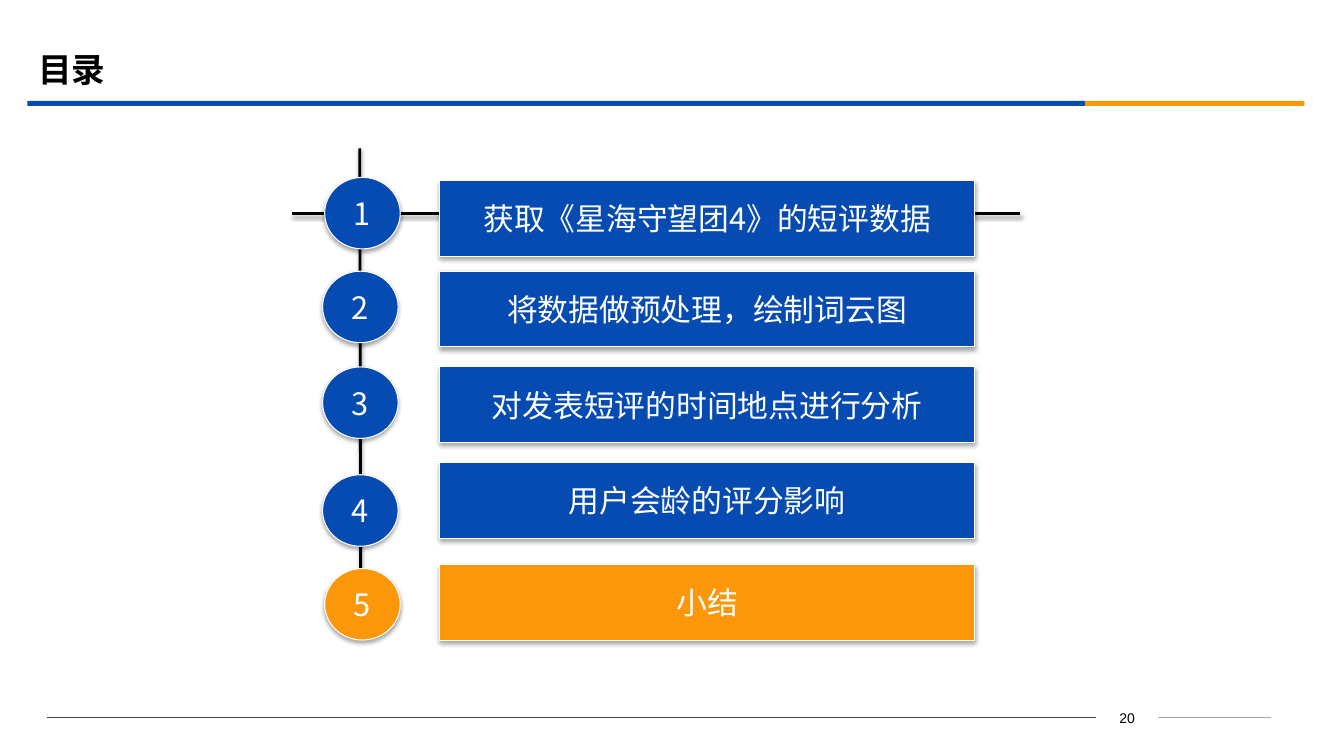
from lxml.etree import SubElement
from pptx import Presentation
from pptx.dml.color import RGBColor
from pptx.enum.shapes import MSO_CONNECTOR as CONNECTOR, MSO_SHAPE as SHAPE
from pptx.enum.text import MSO_ANCHOR as ANCHOR, PP_ALIGN as ALIGN
from pptx.oxml.ns import qn
from pptx.util import Pt

COLORS = {"blue": "064BB2", "orange": "FB9708", "white": "FFFFFF", "black": "000000",
          "rule": "404040", "light_rule": "A6A6A6"}
CJK = "Noto Sans CJK SC"
LABEL = {"size": Pt(22), "name": CJK}
ENTRIES = [
    ("获取《星海守望团4》的短评数据", "blue", 233.5, 126.7, 128.9),
    ("将数据做预处理，绘制词云图", "blue", 232, 193.7, 193.7),
    ("对发表短评的时间地点进行分析", "blue", 232, 262.1, 262.1),
    ("用户会龄的评分影响", "blue", 232, 339.1, 330.6),
    ("小结", "orange", 233.5, 406.1, 403.2),
]


def color(name):
    """Return the named colour."""
    return RGBColor.from_string(COLORS[name])


def add_shadow(effects, distance, opacity):
    """Put a soft downward shadow into an effect list."""
    shadow = SubElement(effects, qn("a:outerShdw"), blurRad=str(Pt(3.1)),
                        dist=str(Pt(distance)), dir="5400000", rotWithShape="0")
    black = SubElement(shadow, qn("a:srgbClr"), val=COLORS["black"])
    SubElement(black, qn("a:alpha"), val=str(opacity * 1000))


def write(shape, text, font_color, font, align=ALIGN.CENTER, wrap=False):
    """Write one middle-anchored paragraph in a shape."""
    frame = shape.text_frame
    for key, value in {"word_wrap": wrap, "vertical_anchor": ANCHOR.MIDDLE}.items():
        setattr(frame, key, value)
    paragraph = frame.paragraphs[0]
    paragraph.alignment = align
    run = paragraph.add_run()
    run.text = text
    for key, value in font.items():
        setattr(run.font, key, value)
    run.font.color.rgb = color(font_color)
    SubElement(run.font._element, qn("a:ea"), typeface=font["name"])


def add_block(slide, kind, box, fill):
    """Add a filled shape without outline or shadow."""
    shape = slide.shapes.add_shape(kind, *map(Pt, box))
    shape.fill.solid()
    shape.fill.fore_color.rgb = color(fill)
    shape.line.fill.background()
    shape.shadow.inherit = False
    return shape


def add_label(slide, kind, box, fill, text):
    """Add a white-edged, shadowed shape with a white label."""
    shape = add_block(slide, kind, box, fill)
    shape.line.color.rgb = color("white")
    shape.line.width = Pt(0.75)
    add_shadow(shape._element.spPr.find(qn("a:effectLst")), 1.8, 35)
    write(shape, text, "white", LABEL)


def add_line(slide, ends, line_color, width, shadowed=False):
    """Add a straight line, with a shadow if asked."""
    line = slide.shapes.add_connector(CONNECTOR.STRAIGHT, *map(Pt, ends))
    line.line.color.rgb = color(line_color)
    line.line.width = Pt(width)
    effects = SubElement(line._element.spPr, qn("a:effectLst"))
    if shadowed:
        add_shadow(effects, 1.6, 38)


def add_header(slide, left, top, width):
    """Add the title above its two-coloured bar."""
    title = slide.shapes.add_textbox(Pt(left), Pt(top), Pt(864), Pt(41.8))
    write(title, "目录", "black", {"size": Pt(24), "name": CJK, "bold": True}, ALIGN.LEFT, True)
    blue_width = 755.5
    add_block(slide, SHAPE.RECTANGLE, (left - 0.7, top + 43.9, blue_width, 3.6), "blue")
    add_block(slide, SHAPE.RECTANGLE,
              (left - 0.7 + blue_width, top + 43.9, width - blue_width, 3.6), "orange")


def add_agenda(slide, left, top, width, height):
    """Add the crossing lines and the numbered entries."""
    add_line(slide, (left + 48.2, top, left + 48.9, top + height), "black", 2, True)
    add_line(slide, (left, top + 46.6, left + width, top + 46.6), "black", 2, True)
    for number, (text, fill, circle_left, circle_top, bar_top) in enumerate(ENTRIES, 1):
        circle = (circle_left - 1.6, circle_top, 54, 51.1)
        add_label(slide, SHAPE.OVAL, circle, fill, str(number))
        bar = (left + 105.1, bar_top, 382.3, 54)
        add_label(slide, SHAPE.ACTION_BUTTON_CUSTOM, bar, fill, text)


def add_footer(slide, left, middle, width):
    """Add the page number between two thin rules."""
    number_left, number_width = left + 749.5, 44.6
    add_line(slide, (left, middle, number_left, middle), "rule", 0.75)
    add_line(slide, (number_left + number_width, middle, left + width, middle),
             "light_rule", 0.75)
    number = slide.shapes.add_textbox(Pt(number_left), Pt(middle - 9), Pt(number_width), Pt(18))
    write(number, "20", "black", {"size": Pt(10), "name": "Arial"}, wrap=True)


def main():
    """Build and save the contents slide."""
    presentation = Presentation()
    presentation.slide_width, presentation.slide_height = Pt(960), Pt(540)
    slide = presentation.slides.add_slide(presentation.slide_layouts[6])
    add_header(slide, 20.2, 28.1, 912.2)
    add_agenda(slide, 208.8, 106, 520, 343)
    add_footer(slide, 33.3, 512.8, 874.5)
    presentation.save("out.pptx")


if __name__ == "__main__":
    main()
